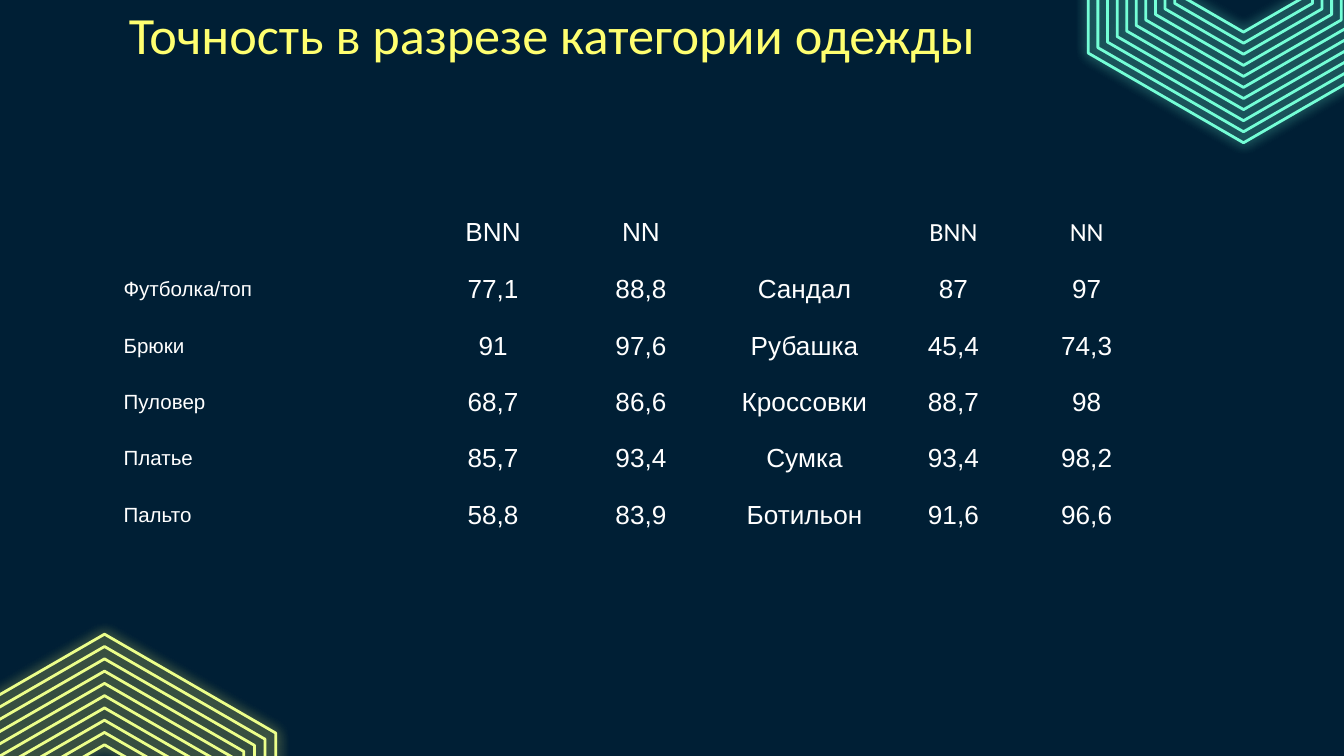
from dataclasses import dataclass
import math

import pptx
import pptx.dml.color
import pptx.enum.text
import pptx.oxml
import pptx.oxml.ns
import pptx.presentation
import pptx.slide
import pptx.table
import pptx.util

Pt = pptx.util.Pt
RGBColor = pptx.dml.color.RGBColor
Align = pptx.enum.text.PP_ALIGN
Anchor = pptx.enum.text.MSO_ANCHOR

NAVY = RGBColor(0x00, 0x1F, 0x35)
YELLOW = RGBColor(0xFF, 0xFF, 0x70)
LEMON = RGBColor(0xEC, 0xFF, 0x8C)
MINT = RGBColor(0x75, 0xFF, 0xD7)
WHITE = RGBColor(0xFF, 0xFF, 0xFF)

INSET = Pt(7.2)
NAMESPACE = pptx.oxml.ns.nsdecls("a")


@dataclass(frozen=True)
class HexagonNest:
    center_x: float
    center_y: float
    radius: float
    step: float
    count: int
    line: RGBColor
    glow: RGBColor


NESTS = [
    HexagonNest(56, 445.7, 105.9, 6.58, 10, LEMON, YELLOW),
    HexagonNest(666.2, -19.5, 96, 5.93, 11, MINT, MINT),
]

COLUMN_WIDTHS = [165.6, 79.2, 79.2, 96, 63.6, 79.2]
HEADER_HEIGHT = 26.6
ROW_HEIGHT = 25.2
ROWS = [
    ["", "BNN", "NN", "", "BNN", "NN"],
    ["Футболка/топ", "77,1", "88,8", "Сандал", "87", "97"],
    ["Брюки", "91", "97,6", "Рубашка", "45,4", "74,3"],
    ["Пуловер", "68,7", "86,6", "Кроссовки", "88,7", "98"],
    ["Платье", "85,7", "93,4", "Сумка", "93,4", "98,2"],
    ["Пальто", "58,8", "83,9", "Ботильон", "91,6", "96,6"],
]


def draw_nest(page: pptx.slide.Slide, nest: HexagonNest) -> None:
    """Draw concentric glowing hexagon outlines, largest first."""
    group = page.shapes.add_group_shape()
    for ring in range(nest.count):
        radius = nest.radius - ring * nest.step
        corners = [
            (
                Pt(nest.center_x + radius * math.sin(math.radians(angle))),
                Pt(nest.center_y - radius * math.cos(math.radians(angle))),
            )
            for angle in range(0, 360, 60)
        ]
        builder = group.shapes.build_freeform(*corners[0])
        builder.add_line_segments(corners[1:], close=True)
        hexagon = builder.convert_to_shape()
        hexagon.fill.background()
        hexagon.line.color.rgb = nest.line
        hexagon.line.width = Pt(1.5)
        hexagon.shadow.inherit = False
        effects = hexagon._element.spPr.find(pptx.oxml.ns.qn("a:effectLst"))
        effects.append(pptx.oxml.parse_xml(
            f'<a:outerShdw {NAMESPACE} blurRad="{Pt(6.8)}" dist="0" '
            f'algn="ctr" rotWithShape="0"><a:srgbClr val="{nest.glow}">'
            '<a:alpha val="90000"/></a:srgbClr></a:outerShdw>'
        ))


def format_title(page: pptx.slide.Slide, text: str) -> None:
    title = page.shapes.title
    title.left, title.top = Pt(-10), Pt(6.5)
    title.width, title.height = Pt(611), Pt(23)
    frame = title.text_frame
    frame.text = text
    frame.word_wrap = True
    frame.auto_size = pptx.enum.text.MSO_AUTO_SIZE.NONE
    frame.vertical_anchor = Anchor.MIDDLE
    frame.margin_left = frame.margin_right = INSET
    frame.margin_top = frame.margin_bottom = INSET
    paragraph = frame.paragraphs[0]
    paragraph.alignment = Align.CENTER
    paragraph.font.name = "Calibri"
    paragraph.font.size = Pt(28)
    paragraph.font.color.rgb = YELLOW


def set_borders(cell: pptx.table._Cell) -> None:
    properties = cell._tc.get_or_add_tcPr()
    for index, side in enumerate(("lnL", "lnR", "lnT", "lnB")):
        properties.insert(index, pptx.oxml.parse_xml(
            f'<a:{side} {NAMESPACE} w="{Pt(1)}"><a:solidFill>'
            f'<a:srgbClr val="{NAVY}"/></a:solidFill></a:{side}>'
        ))


def fill_cell(cell: pptx.table._Cell, text: str, size: float, font: str,
              alignment: Align) -> None:
    cell.fill.background()
    set_borders(cell)
    cell.vertical_anchor = Anchor.MIDDLE
    cell.margin_left = cell.margin_right = INSET
    cell.margin_top = cell.margin_bottom = INSET
    paragraph = cell.text_frame.paragraphs[0]
    paragraph.alignment = alignment
    paragraph.font.name = font
    paragraph.font.size = Pt(size)
    paragraph.font.color.rgb = WHITE
    if text:
        paragraph.add_run().text = text
    else:
        # An empty cell takes its line height from the end mark.
        paragraph._p.append(pptx.oxml.parse_xml(
            f'<a:endParaRPr {NAMESPACE} sz="{round(size * 100)}"/>'
        ))


def add_accuracy_table(page: pptx.slide.Slide) -> None:
    heights = [HEADER_HEIGHT] + [ROW_HEIGHT] * (len(ROWS) - 1)
    table = page.shapes.add_table(
        len(ROWS), len(COLUMN_WIDTHS), Pt(59), Pt(108.7),
        Pt(sum(COLUMN_WIDTHS)), Pt(sum(heights)),
    ).table
    table.first_row = table.horz_banding = False
    for column, width in zip(table.columns, COLUMN_WIDTHS):
        column.width = Pt(width)
    for row, height in zip(table.rows, heights):
        row.height = Pt(height)
    for row_index, values in enumerate(ROWS):
        for column_index, text in enumerate(values):
            is_label = column_index == 0
            is_right_header = row_index == 0 and column_index > 3
            fill_cell(
                table.cell(row_index, column_index),
                text,
                11 if is_label else 14,
                "Calibri" if is_right_header else "Arial",
                Align.LEFT if is_label else Align.CENTER,
            )


def main() -> None:
    deck = pptx.Presentation()
    deck.slide_width, deck.slide_height = Pt(720), Pt(405)
    page = deck.slides.add_slide(deck.slide_layouts[5])
    page.background.fill.solid()
    page.background.fill.fore_color.rgb = NAVY
    for nest in NESTS:
        draw_nest(page, nest)
    format_title(page, "Точность в разрезе категории одежды")
    add_accuracy_table(page)
    deck.save("out.pptx")


if __name__ == "__main__":
    main()
